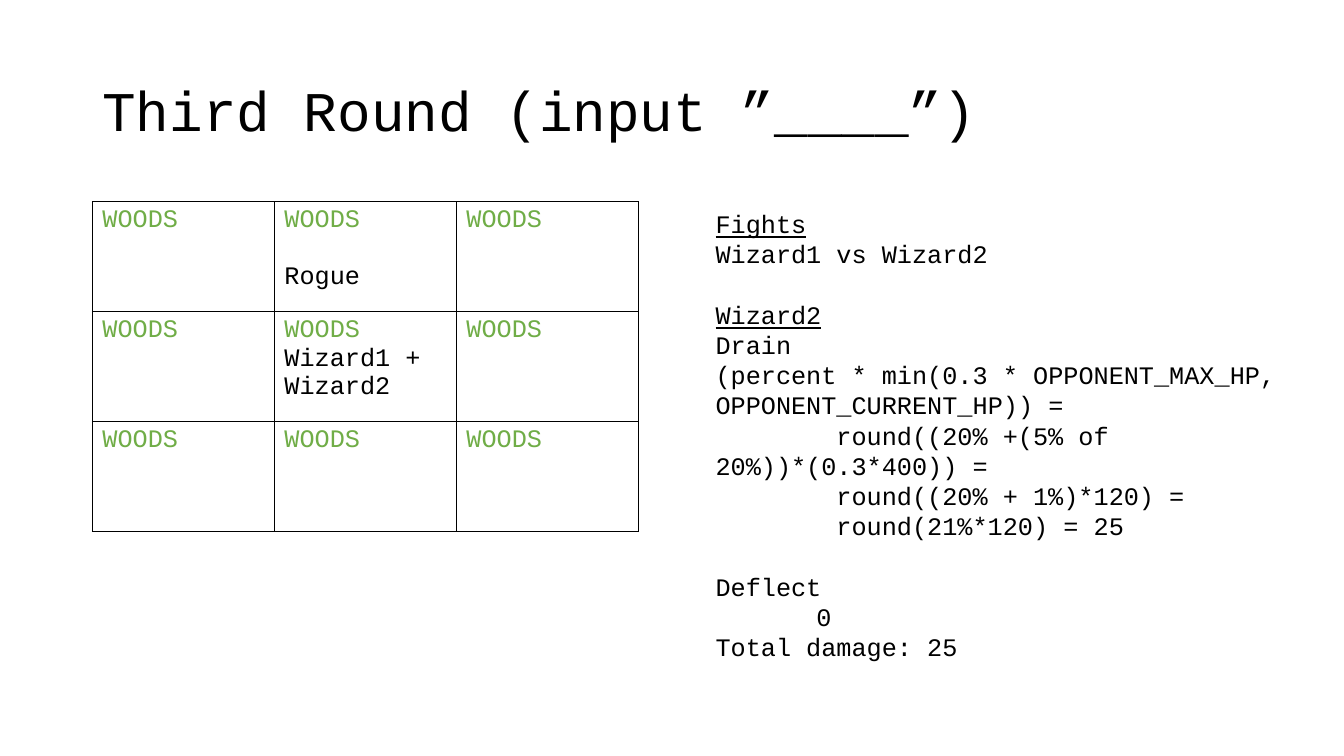
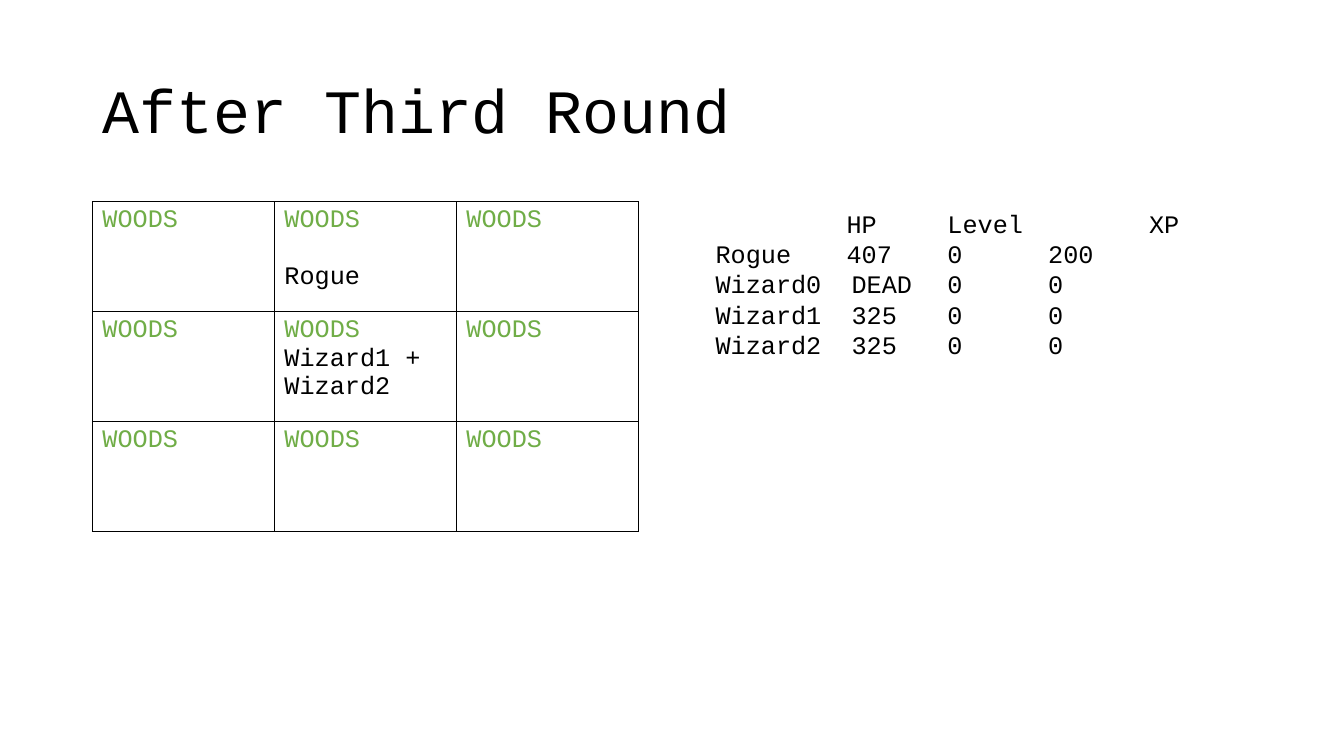
from lxml import etree
from pptx import Presentation
from pptx.dml.color import RGBColor
from pptx.enum.text import MSO_ANCHOR
from pptx.oxml.ns import qn
from pptx.util import Inches, Pt

MIDDLE, TOP = MSO_ANCHOR.MIDDLE, MSO_ANCHOR.TOP
COLORS = {"text": "000000", "woods": "70AD47", "border": "000000"}
COLUMNS, ROWS = 160, 90
LEFT, RIGHT_COLUMN, BODY_TOP = 11, 84, 24

WOODS = ("WOODS",)
ROUND_MAP = [
    [WOODS, ("WOODS", "Rogue"), WOODS],
    [WOODS, ("WOODS", "Wizard1 + Wizard2"), WOODS],
    [WOODS, WOODS, WOODS],
]
FORMULA = {"indent": 1.2}
FIGHT_LINES = [
    ("Fights", {"underline": True}),
    ("Wizard1 vs Wizard2", {}),
    ("Wizard2", {"underline": True, "gap": True}),
    ("Drain", {}),
    ("(percent * min(0.3 * OPPONENT_MAX_HP, OPPONENT_CURRENT_HP)) =", {}),
    ("round((20% +(5% of 20%))*(0.3*400)) =", FORMULA),
    ("round((20% + 1%)*120) =", FORMULA),
    ("round(21%*120) = 25", FORMULA),
    ("Deflect", {"gap": True}),
    ("0", {"indent": 1}),
    ("Total damage: 25", {}),
]
WIZARD_STOPS = {"stops": (1.35, 2.3, 3.3)}
SCORE_LINES = [
    ("\tHP\tLevel\tXP", {"stops": (1.3, 2.3, 4.3)}),
    ("Rogue\t407\t0\t200", {"stops": (1.3, 2.3, 3.3)}),
    ("Wizard0\tDEAD\t0\t0", WIZARD_STOPS),
    ("Wizard1\t325\t0\t0", WIZARD_STOPS),
    ("Wizard2\t325\t0\t0", WIZARD_STOPS),
]


class Deck:
    """Holds the shared style and the slide being filled."""

    font_name = "Courier New"
    body_size = 18
    line_pitch = Pt(21.6)
    cell_pitch = Pt(20.4)

    def __init__(self):
        self.prs = Presentation()
        self.prs.slide_width, self.prs.slide_height = Inches(13.33), Inches(7.5)
        self.slide = None

    def area(self, column, row, columns, rows):
        """Turns grid units into left, top, width and height."""
        unit_x = self.prs.slide_width / COLUMNS
        unit_y = self.prs.slide_height / ROWS
        return [round(v) for v in (column * unit_x, row * unit_y,
                                   columns * unit_x, rows * unit_y)]

    def style(self, paragraph, size=body_size, color="text", underline=False):
        for run in paragraph.runs:
            run.font.name = self.font_name
            run.font.size = Pt(size)
            run.font.underline = underline
            run.font.color.rgb = RGBColor.from_string(COLORS[color])

    def frame(self, area, anchor=TOP):
        text_frame = self.slide.shapes.add_textbox(*self.area(*area)).text_frame
        text_frame.word_wrap = True
        text_frame.vertical_anchor = anchor
        return text_frame

    def start_slide(self, title, size):
        self.slide = self.prs.slides.add_slide(self.prs.slide_layouts[6])
        heading = self.frame((LEFT, 4.8, 138, 17.4), MIDDLE).paragraphs[0]
        heading.text = title
        heading.line_spacing = 0.9
        self.style(heading, size)

    def lines(self, entries, columns, rows):
        text_frame = self.frame((RIGHT_COLUMN, BODY_TOP + 0.2, columns, rows))
        for index, (text, options) in enumerate(entries):
            paragraph = text_frame.add_paragraph() if index else text_frame.paragraphs[0]
            paragraph.text = text
            paragraph.line_spacing = self.line_pitch
            if options.get("gap"):
                paragraph.space_before = self.line_pitch
            self.indent(paragraph, options.get("indent"), options.get("stops", ()))
            self.style(paragraph, underline=options.get("underline", False))

    def indent(self, paragraph, first_line, stops):
        """Sets the first-line indent and tab stops, in inches."""
        properties = paragraph._p.get_or_add_pPr()
        if first_line:
            properties.set("marL", "0")
            properties.set("indent", str(Inches(first_line)))
        if stops:
            tab_list = etree.SubElement(properties, qn("a:tabLst"))
            for stop in stops:
                etree.SubElement(tab_list, qn("a:tab"), pos=str(Inches(stop)), algn="l")

    def map(self, places):
        """Draws the map of the round; a place lists its terrain, then who stands there."""
        area = self.area(LEFT, BODY_TOP, 65, 39.3)
        table = self.slide.shapes.add_table(len(places), len(places[0]), *area).table
        table.first_row = table.horz_banding = False
        for row, row_places in enumerate(places):
            for column, place in enumerate(row_places):
                cell = table.cell(row, column)
                cell.text = "\n".join(place)
                terrain, *occupants = cell.text_frame.paragraphs
                self.style(terrain, color="woods")
                for occupant in occupants:
                    self.style(occupant)
                    if row == 0:
                        occupant.space_before = self.cell_pitch
                self.border(cell)
                cell.fill.background()

    def border(self, cell):
        properties = cell._tc.get_or_add_tcPr()
        for side in ("lnL", "lnR", "lnT", "lnB"):
            line = etree.SubElement(properties, qn(f"a:{side}"), w=str(Pt(1)))
            fill = etree.SubElement(line, qn("a:solidFill"))
            etree.SubElement(fill, qn("a:srgbClr"), val=COLORS["border"])


def main():
    deck = Deck()
    deck.start_slide("Third Round (input ”____”)", 40)
    deck.lines(FIGHT_LINES, 72, 59.4)
    deck.map(ROUND_MAP)

    deck.start_slide("After Third Round", 44)
    deck.lines(SCORE_LINES, 69.4, 19.4)
    deck.map(ROUND_MAP)
    deck.prs.save("out.pptx")


if __name__ == "__main__":
    main()
